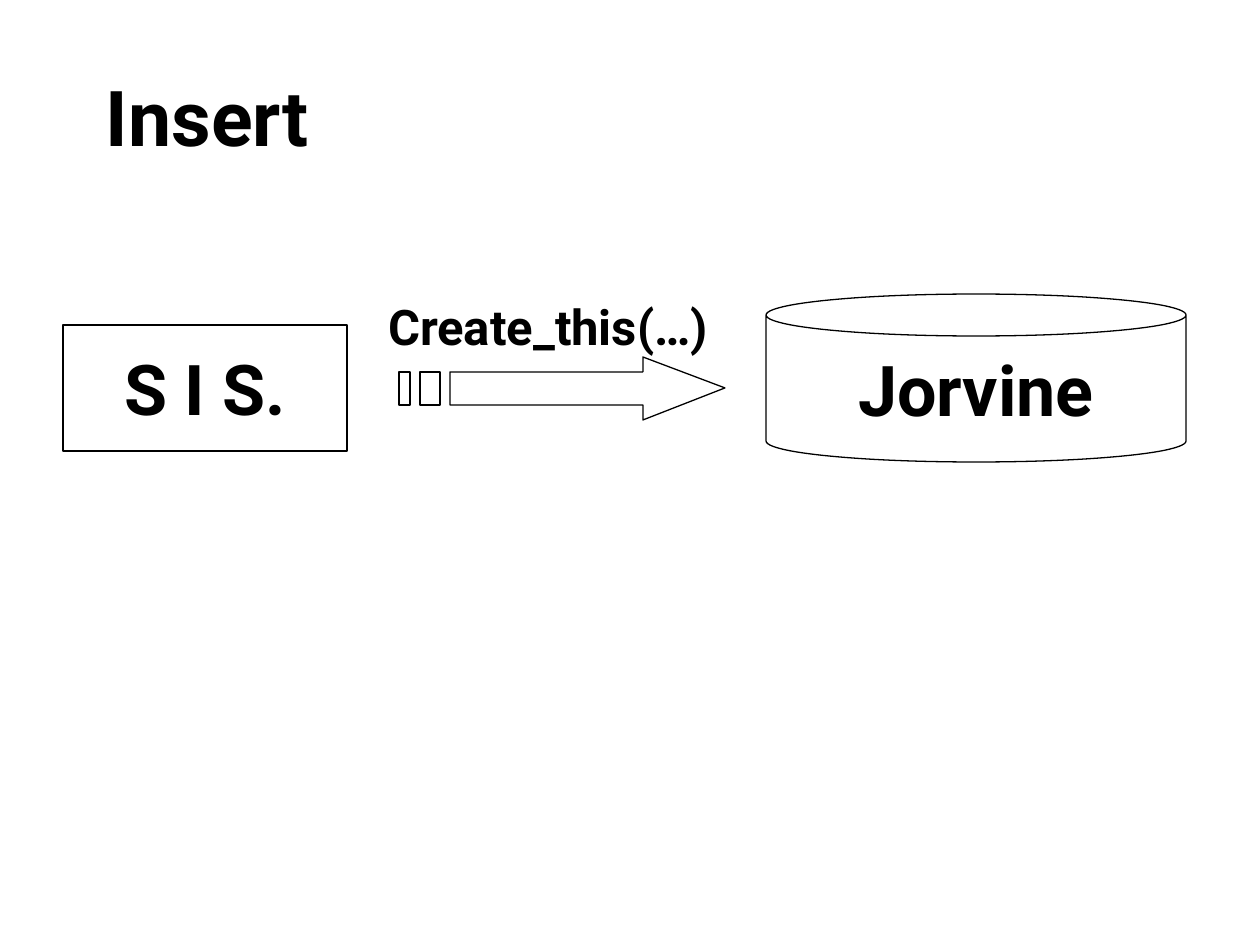
from pptx import Presentation
from pptx.dml.color import RGBColor as Rgb
from pptx.enum.shapes import MSO_SHAPE as Kind
from pptx.enum.text import MSO_ANCHOR as Anchor, MSO_AUTO_SIZE as Fit, PP_ALIGN as Align
from pptx.util import Emu, Inches, Pt

SCALE = Inches(1) / 126
COLORS = {"ink": "000000", "paper": "FFFFFF"}


class Sketch:
    """Draws outlined shapes and bold labels on one slide, in px."""

    def __init__(self, slide, font="Roboto", line=0.75):
        self.slide, self.font, self.line = slide, font, line

    def color(self, name):
        return Rgb.from_string(COLORS[name])

    def place(self, *box):
        return [Emu(round(n * SCALE)) for n in box]

    def paint(self, shape):
        shape.shadow.inherit = False
        shape.fill.solid()
        shape.fill.fore_color.rgb = self.color("paper")
        shape.line.color.rgb = self.color("ink")
        shape.line.width = Pt(self.line)

    def letter(self, shape, text, size):
        frame = shape.text_frame
        frame.word_wrap = False
        frame.vertical_anchor = Anchor.MIDDLE
        par = frame.paragraphs[0]
        par.text = text
        par.alignment = Align.CENTER
        font = par.font
        font.name, font.size, font.bold = self.font, Pt(size), True
        font.color.rgb = self.color("ink")

    def node(self, kind, box, text, size=40):
        shape = self.slide.shapes.add_shape(kind, *self.place(*box))
        self.paint(shape)
        self.letter(shape, text, size)

    def label(self, box, text, size):
        shape = self.slide.shapes.add_textbox(*self.place(*box))
        self.letter(shape, text, size)
        shape.text_frame.auto_size = Fit.SHAPE_TO_FIT_TEXT

    def outline(self, *paths):
        pen = self.slide.shapes.build_freeform(*paths[0][0], scale=SCALE)
        for i, (start, *rest) in enumerate(paths):
            if i:
                pen.move_to(*start)
            pen.add_line_segments(rest, close=True)
        self.paint(pen.convert_to_shape())

    def arrow(self, left, neck, tip, top, height, bars):
        low, mid = top + height, top + height // 2
        high, base = top + height // 4, low - height // 4
        head = [(left, high), (neck, high), (neck, top), (tip, mid),
                (neck, low), (neck, base), (left, base)]
        tail = [[(a, high), (b, high), (b, base), (a, base)] for a, b in bars]
        self.outline(head, *tail)


def main():
    deck = Presentation()
    deck.slide_width, deck.slide_height = Inches(10), Inches(7.5)
    art = Sketch(deck.slides.add_slide(deck.slide_layouts[6]))
    art.node(Kind.RECTANGLE, (63, 325, 284, 126), "S I S.")
    art.arrow(450, 643, 725, 357, 63, [(399, 410), (420, 440)])
    art.node(Kind.CAN, (766, 294, 420, 168), "Jorvine")
    art.label((77, 63, 261, 106), "Insert", 44)
    art.label((354, 290, 388, 72), "Create_this(…)", 28)
    deck.save("out.pptx")


if __name__ == "__main__":
    main()
